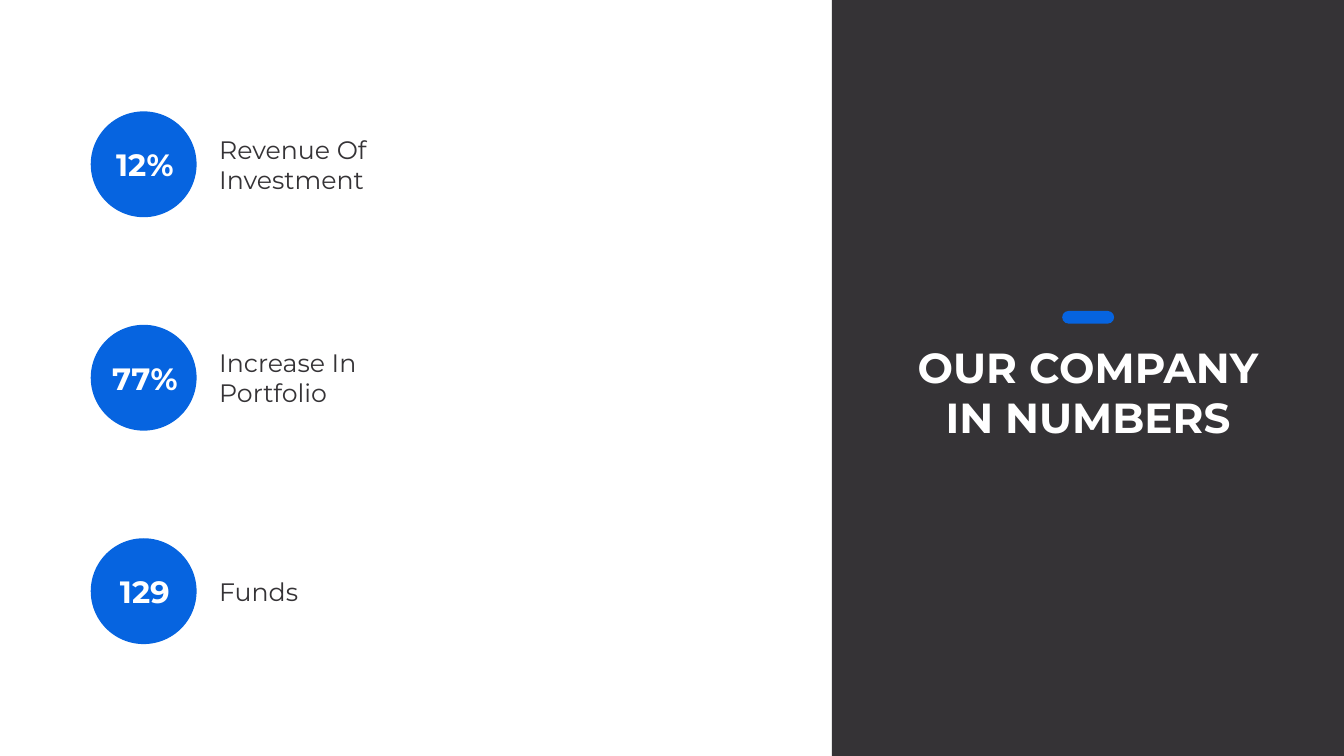
from pptx import Presentation
from pptx.dml.color import RGBColor
from pptx.enum.shapes import MSO_SHAPE
from pptx.enum.text import MSO_ANCHOR, PP_ALIGN
from pptx.util import Inches, Pt

RECT, OVAL, PILL = MSO_SHAPE.RECTANGLE, MSO_SHAPE.OVAL, MSO_SHAPE.ROUNDED_RECTANGLE
LEFT, CENTER = PP_ALIGN.LEFT, PP_ALIGN.CENTER
MIDDLE = MSO_ANCHOR.MIDDLE

FONT = "Montserrat"
COLORS = {"dark": "353336", "blue": "0664E0", "white": "FFFFFF"}

# Value, label, label width, label height
STATS = [
    ("12%", "Revenue Of Investment", 3.62, 1.31),
    ("77%", "Increase In Portfolio", 3.11, 1.31),
    ("129", "Funds", 3.11, 0.71),
]
FIRST_CENTER, ROW_PITCH = 3.26, 4.235
CIRCLE, VALUE_HEIGHT = 2.1, 0.84


def rgb(name):
    return RGBColor.from_string(COLORS[name])


def add_block(slide, kind, x, y, w, h, color):
    sp = slide.shapes.add_shape(kind, Inches(x), Inches(y), Inches(w), Inches(h))
    sp.shadow.inherit = False
    sp.fill.solid()
    sp.fill.fore_color.rgb = rgb(color)
    sp.line.fill.background()
    return sp


def add_text(slide, text, x, y, w, h, size=36, color="dark", bold=False, align=LEFT):
    box = slide.shapes.add_textbox(Inches(x), Inches(y), Inches(w), Inches(h))
    tf = box.text_frame
    tf.word_wrap = True
    tf.vertical_anchor = MIDDLE
    p = tf.paragraphs[0]
    p.alignment = align
    r = p.add_run()
    r.text = text
    r.font.name = FONT
    r.font.size = Pt(size)
    r.font.bold = bold
    r.font.color.rgb = rgb(color)


def add_stat(slide, center, value, label, label_w, label_h):
    add_block(slide, OVAL, 1.8, center - CIRCLE / 2, CIRCLE, CIRCLE, "blue")
    add_text(slide, value, 1.99, center - VALUE_HEIGHT / 2, 1.77, VALUE_HEIGHT,
             size=44, color="white", bold=True, align=CENTER)
    add_text(slide, label, 4.25, center - label_h / 2, label_w, label_h)


def add_title_panel(slide):
    add_block(slide, RECT, 16.5, 0, 10.16, 15, "dark")
    add_text(slide, "OUR COMPANY IN NUMBERS", 17.8, 6.71, 7.56, 2.12,
             size=60, color="white", bold=True, align=CENTER)
    accent = add_block(slide, PILL, 21.07, 6.17, 1.03, 0.25, "blue")
    accent.adjustments[0] = 0.5


def main():
    prs = Presentation()
    prs.slide_width, prs.slide_height = Inches(26.66), Inches(15)
    slide = prs.slides.add_slide(prs.slide_layouts[6])

    # Title panel on the right
    add_title_panel(slide)

    # Key figures on the left
    for i, stat in enumerate(STATS):
        add_stat(slide, FIRST_CENTER + i * ROW_PITCH, *stat)

    prs.save("out.pptx")


if __name__ == "__main__":
    main()
